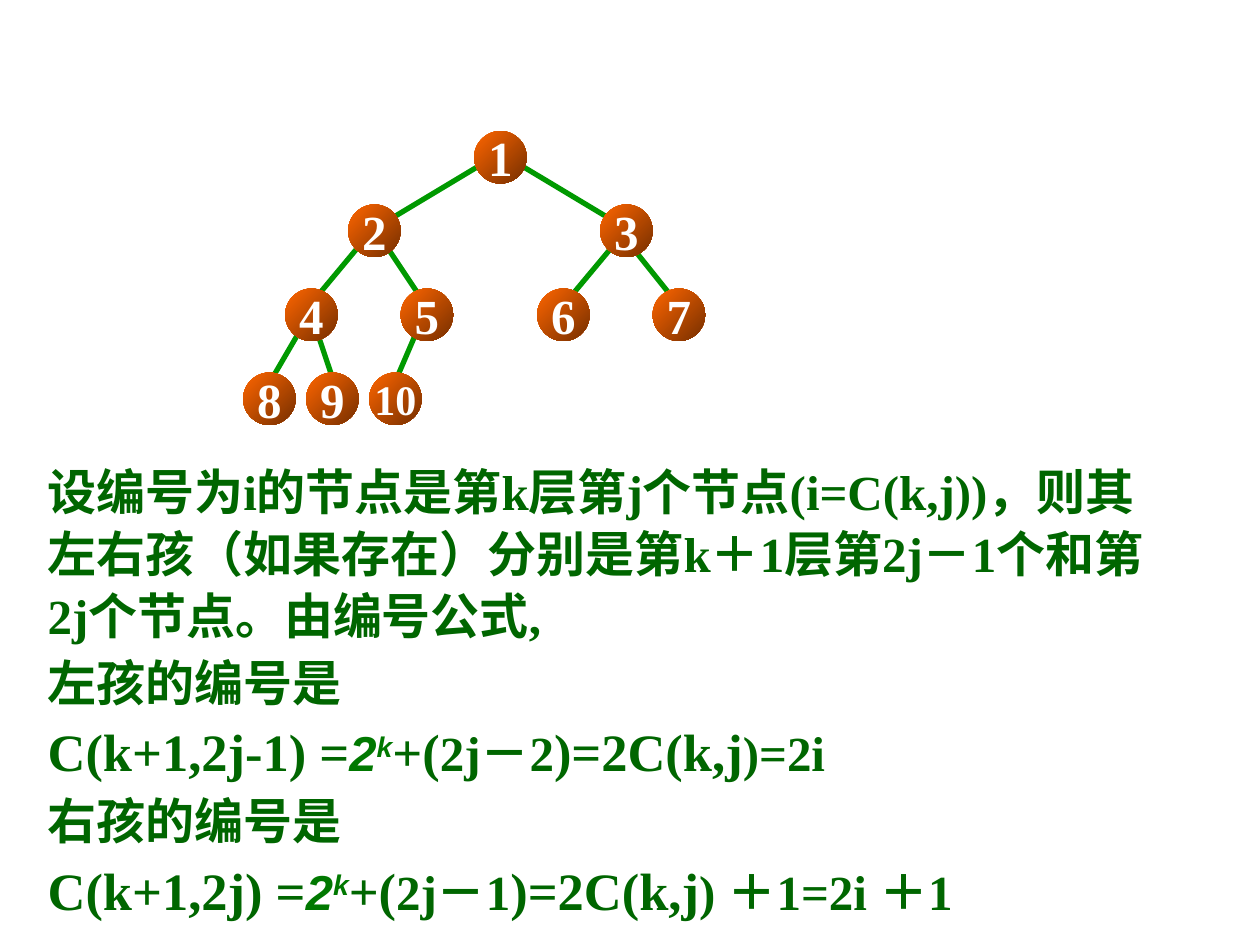
from pptx import Presentation
from pptx.dml.color import RGBColor
from pptx.enum.shapes import MSO_CONNECTOR as Connector, MSO_SHAPE as Shape
from pptx.enum.text import MSO_ANCHOR as Anchor, PP_ALIGN as Align
from pptx.oxml.ns import qn
from pptx.util import Inches, Pt
from lxml.etree import SubElement

SERIF, SANS = "Times New Roman", "Arial"
TEXT_GREEN, POWER_GREEN, EDGE_GREEN = "006600", "007800", "009900"

# The tree stands on a grid of twelve units to the inch.
UNITS_PER_INCH = 12
TREE_LEFT, TREE_TOP = 1.93, 1.04
NODE_SIZE = 5
NODES = {
    1: (22, 0),
    2: (10, 7), 3: (34, 7),
    4: (4, 15), 5: (15, 15), 6: (28, 15), 7: (39, 15),
    8: (0, 23), 9: (6, 23), 10: (12, 23),
}
EDGES = [  # start column, start row, end column, end row
    (23, 3, 13, 9), (26, 3, 36, 9),
    (11, 11, 6, 17), (13, 10, 17, 16),
    (36, 10, 31, 16), (37, 11, 41, 16),
    (6, 18, 2.5, 24), (7, 19, 9, 25), (17, 18, 14, 25),
]

POWER = [("2", 28, "power"), ("k", 28, "exponent")]
PARAGRAPHS = [
    [("设编号为i的节点是第k层第j个节点(i=C(k,j))，则其左右孩（如果存在）"
      "分别是第k＋1层第2j－1个和第2j个节点。由编号公式,", 28, "plain")],
    [("左孩的编号是", 28, "plain")],
    [("C(k+1,2j-1) =", 30, "plain"), *POWER, ("+(", 30, "plain"),
     ("2j－2", 28, "plain"), (")=2C(k,j", 30, "plain"), (")=2i", 28, "plain")],
    [("右孩的编号是", 28, "plain")],
    [("C(k+1,2j) =", 30, "plain"), *POWER, ("+(", 30, "plain"),
     ("2j－1", 28, "plain"), (")=2C(k,j", 30, "plain"),
     (") ＋1=2i ＋1", 28, "plain")],
]


def color(hex_value):
    return RGBColor.from_string(hex_value)


def grid_point(column, row):
    return (Inches(TREE_LEFT + column / UNITS_PER_INCH),
            Inches(TREE_TOP + row / UNITS_PER_INCH))


def style_font(font, size, name, hex_value):
    font.size, font.name, font.bold = Pt(size), name, True
    font.color.rgb = color(hex_value)


def add_edge(tree, edge):
    line = tree.shapes.add_connector(
        Connector.STRAIGHT, *grid_point(*edge[:2]), *grid_point(*edge[2:]))
    line.line.color.rgb = color(EDGE_GREEN)
    line.line.width = Pt(3)
    SubElement(line._element.spPr, qn("a:effectLst"))


def add_node(tree, number, cell):
    size = Inches(NODE_SIZE / UNITS_PER_INCH)
    node = tree.shapes.add_shape(Shape.OVAL, *grid_point(*cell), size, size)
    node.shadow.inherit = False
    node.line.fill.background()
    node.fill.gradient()
    node.fill.gradient_angle = 315
    for stop, shade in zip(node.fill.gradient_stops, ("FF6600", "762F00")):
        stop.color.rgb = color(shade)

    frame = node.text_frame
    frame.margin_left = frame.margin_right = 0
    frame.margin_top = frame.margin_bottom = 0
    frame.word_wrap = False
    frame.vertical_anchor = Anchor.MIDDLE
    frame.text = str(number)
    para = frame.paragraphs[0]
    para.alignment = Align.CENTER
    style_font(para.runs[0].font, 28 if number < 10 else 24, SERIF, "FFFFFF")


def add_tree(page):
    tree = page.shapes.add_group_shape()
    for edge in EDGES:
        add_edge(tree, edge)
    for number, cell in NODES.items():
        add_node(tree, number, cell)


def add_span(para, text, size, style):
    """Add a run in the plain, power (italic) or exponent (raised) style."""
    span = para.add_run()
    span.text = text
    if style == "plain":
        style_font(span.font, size, SERIF, TEXT_GREEN)
        return
    style_font(span.font, size, SANS, POWER_GREEN)
    span.font.italic = True
    if style == "exponent":
        span.font._element.set("baseline", "30000")


def add_derivation(page):
    box = page.shapes.add_textbox(
        Inches(0.28), Inches(3.59), Inches(9), Inches(3.11))
    frame = box.text_frame
    frame.word_wrap = True
    for index, spans in enumerate(PARAGRAPHS):
        para = frame.add_paragraph() if index else frame.paragraphs[0]
        para.line_spacing = 1.05
        para.space_before = Pt(3 if index else 0)
        for span in spans:
            add_span(para, *span)


def main():
    deck = Presentation()
    deck.slide_width, deck.slide_height = Inches(10), Inches(7.5)
    page = deck.slides.add_slide(deck.slide_layouts[6])
    add_tree(page)
    add_derivation(page)
    deck.save("out.pptx")


if __name__ == "__main__":
    main()
